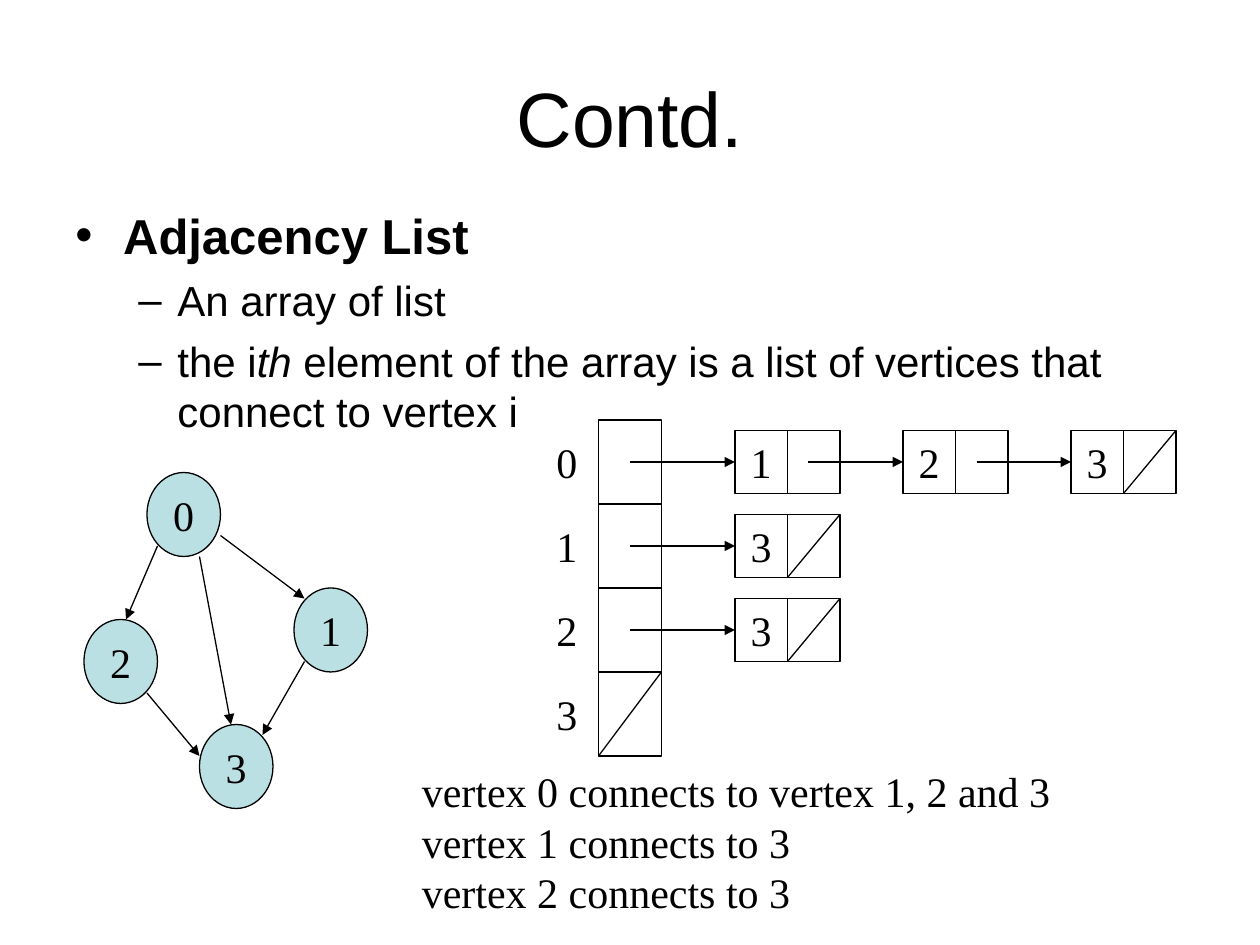
from typing import NamedTuple

from lxml.etree import SubElement
from pptx import Presentation
from pptx.dml.color import RGBColor
from pptx.enum.shapes import MSO_CONNECTOR as Connector
from pptx.enum.shapes import MSO_SHAPE as Shape
from pptx.enum.text import MSO_ANCHOR as Anchor
from pptx.enum.text import PP_ALIGN as Align
from pptx.oxml.ns import qn
from pptx.util import Inches, Length, Pt

BLACK, AQUA = "000000", "BBE0E3"
SANS, SERIF = "Arial", "Times New Roman"


class Vertex(NamedTuple):
    label: str
    x: int
    y: int


class Edge(NamedTuple):
    x1: int
    y1: int
    x2: int
    y2: int


class Bullet(NamedTuple):
    mark: str
    indent: float
    hanging: float
    before: int
    size: int
    spans: list[str]
    bold: bool = False


# Diagram positions are counted in twelfths of an inch
VERTICES = [Vertex("0", 14, 45), Vertex("1", 28, 56),
            Vertex("3", 19, 69), Vertex("2", 8, 59)]
EDGES = [Edge(15, 52, 12, 59), Edge(14, 66, 19, 72), Edge(21, 51, 29, 57),
         Edge(29, 63, 25, 70), Edge(19, 53, 22, 69)]
ADJACENCY = [["1", "2", "3"], ["3"], ["3"], []]
BULLETS = [
    Bullet("•", 0.38, 0.38, 0, 28, ["Adjacency List"], bold=True),
    Bullet("–", 0.81, 0.31, 6, 24, ["An array of list"]),
    Bullet("–", 0.81, 0.31, 6, 24, [
        "the i", "th",
        " element of the array is a list of vertices that connect to vertex i"]),
]
NOTES = ["vertex 0 connects to vertex 1, 2 and 3",
         "vertex 1 connects to 3", "vertex 2 connects to 3"]

deck = Presentation()
deck.slide_width, deck.slide_height = Inches(10), Inches(7.5)
page = deck.slides.add_slide(deck.slide_layouts[6])


def color(value: str) -> RGBColor:
    return RGBColor.from_string(value)


def grid(steps: int) -> Length:
    return Inches(steps / 12)


def style(font, name: str, size: int) -> None:
    font.name, font.size = name, Pt(size)
    font.color.rgb = color(BLACK)


def add_label(shape, text: str, name: str = SERIF, size: int = 24) -> None:
    frame = shape.text_frame
    frame.text = text
    frame.word_wrap = False
    frame.vertical_anchor = Anchor.MIDDLE
    para = frame.paragraphs[0]
    para.alignment = Align.CENTER
    style(para.font, name, size)


def add_box(kind: Shape, x: int, y: int, width: int, height: int,
            text: str = "", fill: str = "") -> None:
    box = page.shapes.add_shape(kind, grid(x), grid(y), grid(width), grid(height))
    box.shadow.inherit = False
    if fill:
        box.fill.solid()
        box.fill.fore_color.rgb = color(fill)
    else:
        box.fill.background()
    box.line.color.rgb = color(BLACK)
    box.line.width = Pt(0.75)
    if text:
        add_label(box, text)


def add_line(x1: int, y1: int, x2: int, y2: int, arrow: bool = False) -> None:
    line = page.shapes.add_connector(
        Connector.STRAIGHT, grid(x1), grid(y1), grid(x2), grid(y2))
    line.line.color.rgb = color(BLACK)
    line.line.width = Pt(0.75)
    properties = line.element.spPr
    if arrow:
        SubElement(properties.find(qn("a:ln")), qn("a:tailEnd"), type="triangle")
    SubElement(properties, qn("a:effectLst"))


def add_bullet(para, bullet: Bullet) -> None:
    properties = para._p.get_or_add_pPr()
    properties.set("marL", str(Inches(bullet.indent)))
    properties.set("indent", str(-Inches(bullet.hanging)))
    para.space_before = Pt(bullet.before)
    SubElement(properties, qn("a:buFont"), typeface=SANS)
    SubElement(properties, qn("a:buChar"), char=bullet.mark)
    for text in bullet.spans:
        span = para.add_run()
        span.text = text
        style(span.font, SANS, bullet.size)
        span.font.bold = bullet.bold
        span.font.italic = text == "th"


# Title
title = page.shapes.add_textbox(Inches(0.5), Inches(0.3), Inches(9), Inches(1.25))
add_label(title, "Contd.", SANS, 44)
title.text_frame.word_wrap = True

# Bullets
body = page.shapes.add_textbox(
    Inches(0.5), Inches(1.58), Inches(9), Inches(4.25)).text_frame
body.word_wrap = True
for index, bullet in enumerate(BULLETS):
    add_bullet(body.add_paragraph() if index else body.paragraphs[0], bullet)

# Directed graph
for vertex in VERTICES:
    add_box(Shape.OVAL, vertex.x, vertex.y, 7, 8, vertex.label, AQUA)
for edge in EDGES:
    add_line(*edge, arrow=True)

# Array of linked lists
for row, targets in enumerate(ADJACENCY):
    top = 40 + 8 * row
    middle = top + 4
    index_box = page.shapes.add_textbox(grid(51), grid(top), grid(6), grid(8))
    add_label(index_box, str(row))
    add_box(Shape.RECTANGLE, 57, top, 6, 8)
    if not targets:
        add_line(63, top, 57, top + 8)
    pointer = 60
    for column, target in enumerate(targets):
        left = 70 + 16 * column
        add_box(Shape.RECTANGLE, left, top + 1, 5, 6, target)
        add_box(Shape.RECTANGLE, left + 5, top + 1, 5, 6)
        add_line(pointer, middle, left, middle, arrow=True)
        pointer = left + 7
        if target == targets[-1]:
            add_line(left + 10, top + 1, left + 5, top + 7)

# Explanation
notes = page.shapes.add_textbox(
    Inches(3.25), Inches(6.03), Inches(6.5), Inches(1.3)).text_frame
notes.word_wrap = True
notes.text = "\n".join(NOTES)
for para in notes.paragraphs:
    style(para.font, SERIF, 24)

deck.save("out.pptx")
